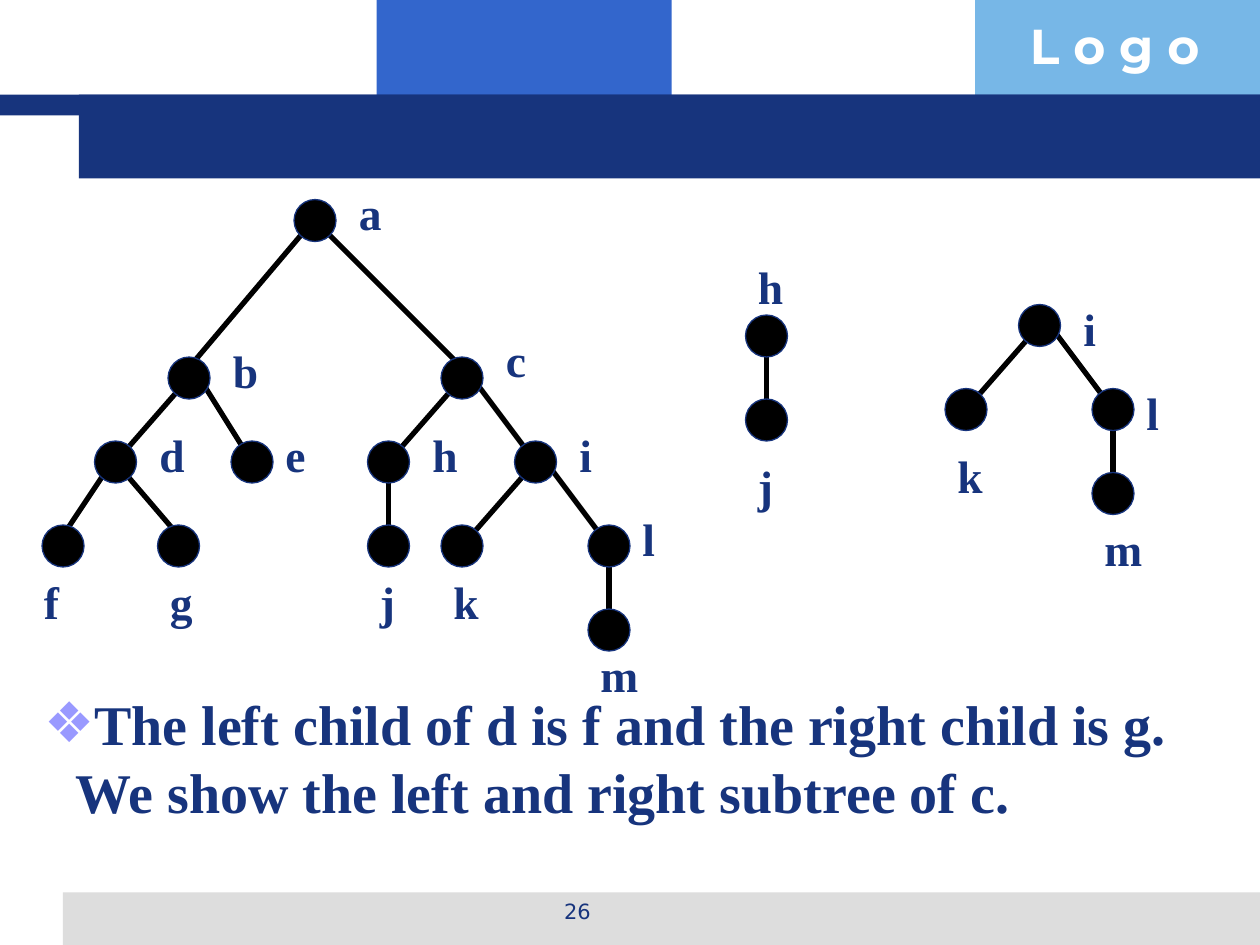
from lxml.etree import SubElement
from pptx import Presentation
from pptx.dml.color import RGBColor
from pptx.enum.shapes import MSO_CONNECTOR as CONNECTOR, MSO_SHAPE as SHAPE
from pptx.enum.text import MSO_AUTO_SIZE as AUTO_SIZE, PP_ALIGN as ALIGN
from pptx.oxml.ns import qn
from pptx.util import Pt

NAVY = RGBColor(0x17, 0x34, 0x7D)
BLUE = RGBColor(0x33, 0x66, 0xCC)
SKY = RGBColor(0x77, 0xB7, 0xE7)
GREY = RGBColor(0xDD, 0xDD, 0xDD)
BLACK = RGBColor(0, 0, 0)
WHITE = RGBColor(0xFF, 0xFF, 0xFF)
BULLET_COLOUR = "9999FF"
SERIF = "Times New Roman"
LINE_HEIGHT = 1.215  # line pitch as a multiple of the text size
NODE_SIZE = 24

# Content
BODY = ("The left child of d is f and the right child is g. "
        "We show the left and right subtree of c.")

# Frame: left, top, width, height, colour
BANDS = [
    (215.3, 0, 168.5, 66, BLUE),
    (557.3, 0, 162.7, 66, SKY),
    (36, 510, 684, 30, GREY),
    (0, 54, 720, 12, NAVY),
    (45, 54, 675, 48, NAVY),
]

# Each tree: nodes as name: (centre x, centre y, label left, label top),
# edges as (parent, child, start offset, end offset) from the centres
MIDDLE, RIGHT, BELOW, ABOVE = (0, 0), (6, 0), (0, 6), (0, -6)
LOWER_LEFT, LOWER_RIGHT = (-6, 6), (6, 6)
H_EDGES = [("h", "j", BELOW, MIDDLE)]
I_EDGES = [("i", "k", MIDDLE, MIDDLE), ("i", "l", RIGHT, MIDDLE),
           ("l", "m", BELOW, MIDDLE)]
FULL_EDGES = [
    ("a", "b", LOWER_LEFT, ABOVE), ("a", "c", LOWER_RIGHT, ABOVE),
    ("b", "d", MIDDLE, MIDDLE), ("b", "e", RIGHT, MIDDLE),
    ("d", "f", LOWER_LEFT, ABOVE), ("d", "g", MIDDLE, ABOVE),
    ("c", "h", MIDDLE, MIDDLE), ("c", "i", RIGHT, MIDDLE),
] + H_EDGES + I_EDGES
FULL_TREE = {
    "a": (180, 126, 198, 102),
    "b": (108, 216, 126, 192),
    "c": (264, 216, 282, 186),
    "d": (66, 264, 84, 240),
    "e": (144, 264, 156, 240),
    "f": (36, 312, 18, 324),
    "g": (102, 312, 90, 324),
    "h": (222, 264, 240, 240),
    "i": (306, 264, 324, 240),
    "j": (222, 312, 210, 324),
    "k": (264, 312, 252, 324),
    "l": (348, 312, 360, 288),
    "m": (348, 360, 336, 366),
}
LEFT_SUBTREE = {"h": (438, 192, 426, 144), "j": (438, 240, 426, 258)}
RIGHT_SUBTREE = {
    "i": (594, 186, 612, 168),
    "k": (552, 234, 540, 252),
    "l": (636, 234, 648, 216),
    "m": (636, 282, 624, 294),
}
TREES = [(FULL_TREE, FULL_EDGES), (LEFT_SUBTREE, H_EDGES), (RIGHT_SUBTREE, I_EDGES)]
LABEL_WIDTHS = {"a": 27, "b": 29, "c": 26, "d": 29, "e": 26, "f": 23, "g": 27,
                "h": 29, "i": 22, "j": 23, "k": 29, "l": 22, "m": 36}


def set_font(paragraph, name, size, colour, bold=False):
    font = paragraph.font
    font.name, font.size, font.bold = name, Pt(size), bold
    font.color.rgb = colour


def add_filled(slide, preset, left, top, width, height, colour):
    shape = slide.shapes.add_shape(preset, Pt(left), Pt(top), Pt(width), Pt(height))
    shape.shadow.inherit = False
    shape.fill.solid()
    shape.fill.fore_color.rgb = colour
    shape.line.fill.background()
    return shape


def add_text(slide, text, left, top, width, height, wrap=True):
    box = slide.shapes.add_textbox(Pt(left), Pt(top), Pt(width), Pt(height))
    box.text_frame.word_wrap = wrap
    paragraph = box.text_frame.paragraphs[0]
    paragraph.text = text
    return paragraph


def add_edge(slide, start, end):
    edge = slide.shapes.add_connector(CONNECTOR.STRAIGHT, *map(Pt, start + end))
    edge.line.color.rgb = BLACK
    edge.line.width = Pt(3)
    SubElement(edge.element.spPr, qn("a:effectLst"))


def add_tree(slide, nodes, edges):
    for parent, child, start, end in edges:
        add_edge(slide, *[(nodes[name][0] + dx, nodes[name][1] + dy)
                          for name, (dx, dy) in ((parent, start), (child, end))])
    for name, (x, y, label_left, label_top) in nodes.items():
        node = add_filled(slide, SHAPE.OVAL, x - NODE_SIZE / 2, y - NODE_SIZE / 2,
                          NODE_SIZE, NODE_SIZE, BLACK)
        node.line.color.rgb = NAVY
        node.line.width = Pt(0.75)
        label = add_text(slide, name, label_left, label_top,
                         LABEL_WIDTHS[name], 39, wrap=False)
        set_font(label, SERIF, 26, NAVY, bold=True)
        label.line_spacing = Pt(26 * LINE_HEIGHT)


def fill_body(body):
    body.left, body.top, body.width, body.height = Pt(18), Pt(390), Pt(690), Pt(84)
    body.text_frame.auto_size = AUTO_SIZE.NONE
    paragraph = body.text_frame.paragraphs[0]
    paragraph.text = BODY
    properties = paragraph._p.get_or_add_pPr()
    properties.set("marL", str(Pt(18)))
    properties.set("indent", str(-Pt(18)))
    colour = SubElement(properties, qn("a:buClr"))
    SubElement(colour, qn("a:srgbClr"), val=BULLET_COLOUR)
    SubElement(properties, qn("a:buChar"), char="❖")
    set_font(paragraph, SERIF, 32, NAVY, bold=True)
    paragraph.space_before = Pt(0)
    paragraph.line_spacing = Pt(32 * LINE_HEIGHT)


def main():
    presentation = Presentation()
    presentation.slide_width, presentation.slide_height = Pt(720), Pt(540)
    slide = presentation.slides.add_slide(presentation.slide_layouts[1])
    title = slide.shapes.title.element
    title.getparent().remove(title)

    # Frame, logo text and page number
    for left, top, width, height, colour in BANDS:
        add_filled(slide, SHAPE.RECTANGLE, left, top, width, height, colour)
    set_font(add_text(slide, "L o g o", 581.5, 5.5, 139, 41),
             "Montserrat", 28, WHITE, bold=True)
    number = add_text(slide, "26", 246, 510, 168, 25)
    number.alignment = ALIGN.CENTER
    set_font(number, "DejaVu Sans", 12, NAVY)

    # Trees and explanation
    for nodes, edges in TREES:
        add_tree(slide, nodes, edges)
    fill_body(slide.placeholders[1])

    presentation.save("out.pptx")


if __name__ == "__main__":
    main()
